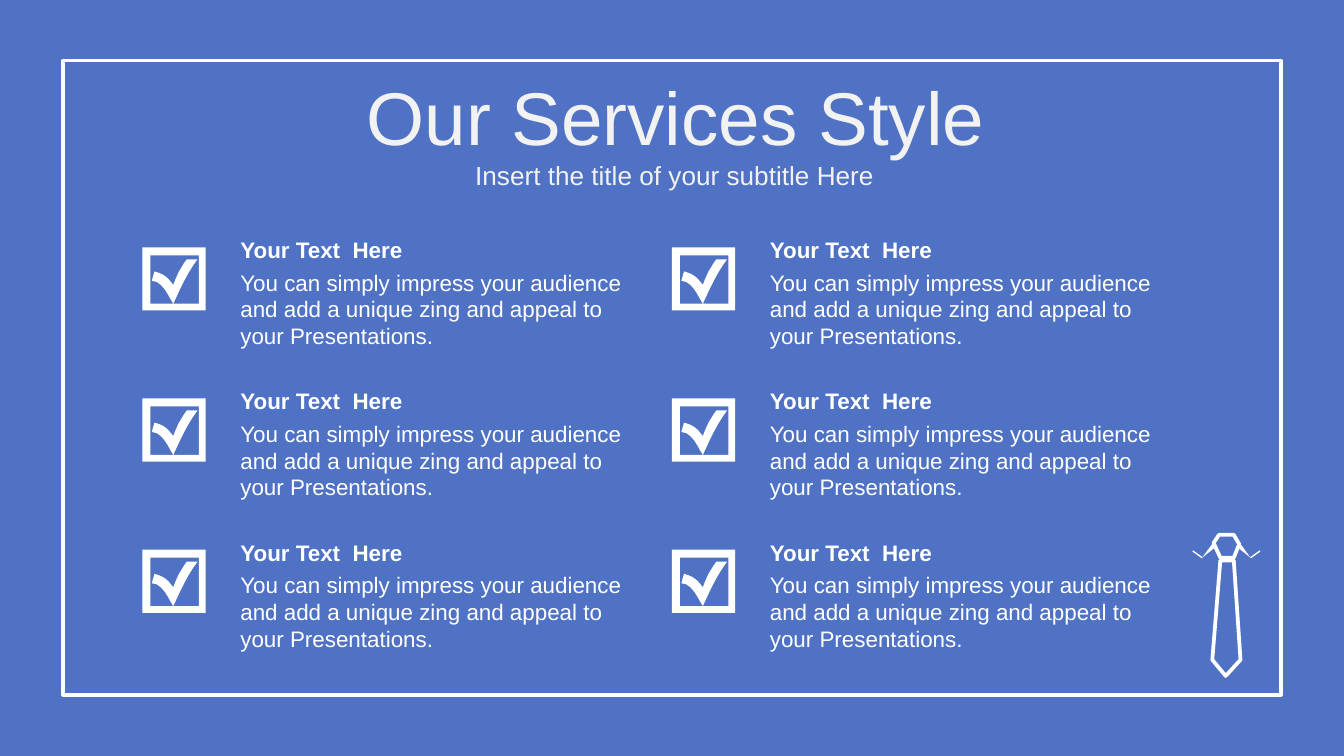
"""Build a services slide with six ticked items and a necktie ornament."""
from lxml import etree
from pptx import Presentation
from pptx.dml.color import RGBColor
from pptx.enum.shapes import MSO_CONNECTOR, MSO_SHAPE
from pptx.enum.text import MSO_ANCHOR, PP_ALIGN
from pptx.oxml.ns import qn
from pptx.util import Inches, Pt

STRAIGHT = MSO_CONNECTOR.STRAIGHT
RECTANGLE = MSO_SHAPE.RECTANGLE
TOP, MIDDLE = MSO_ANCHOR.TOP, MSO_ANCHOR.MIDDLE
LEFT, CENTER = PP_ALIGN.LEFT, PP_ALIGN.CENTER

COLORS = {"background": "5072C4", "white": "FFFFFF", "heading": "F2F2F2"}
RGB = {name: RGBColor.from_string(value) for name, value in COLORS.items()}
FONT = "Arial"
SLIDE_WIDTH = 10
SLIDE_HEIGHT = SLIDE_WIDTH * 9 / 16
UNITS_PER_INCH = 1000
COLUMN_LEFT, COLUMN_PITCH = 1.06, 3.94
ROW_TOP, ROW_PITCH = 1.84, SLIDE_HEIGHT / 5
CURVE_STEPS = 6

presentation = Presentation()
presentation.slide_width = Inches(SLIDE_WIDTH)
presentation.slide_height = Inches(SLIDE_HEIGHT)
slide = presentation.slides.add_slide(presentation.slide_layouts[5])
slide.background.fill.solid()
slide.background.fill.fore_color.rgb = RGB["background"]
shapes = slide.shapes


def write_text(shape, box, text, size, color, bold=False, align=LEFT, anchor=TOP, inset=0.05):
    shape.left, shape.top, shape.width, shape.height = [Inches(value) for value in box]
    frame = shape.text_frame
    frame.word_wrap = True
    frame.vertical_anchor = anchor
    frame.margin_left = frame.margin_right = Inches(0.1)
    frame.margin_top = frame.margin_bottom = Inches(inset)
    frame.text = text
    paragraph = frame.paragraphs[0]
    paragraph.alignment = align
    font = paragraph.runs[0].font
    font.name, font.size, font.bold = FONT, Pt(size), bold
    font.color.rgb = RGB[color]


def draw_outline(contours, left=0, top=0, filled=True):
    scaled = [[(x * UNITS_PER_INCH, y * UNITS_PER_INCH) for x, y in points] for points in contours]
    builder = shapes.build_freeform(*scaled[0][0], scale=Inches(1) / UNITS_PER_INCH)
    builder.add_line_segments(scaled[0][1:], close=True)
    for points in scaled[1:]:
        builder.move_to(*points[0])
        builder.add_line_segments(points[1:], close=True)
    shape = builder.convert_to_shape(Inches(left), Inches(top))
    shape.shadow.inherit = False
    if filled:
        shape.fill.solid()
        shape.fill.fore_color.rgb = RGB["white"]
        shape.line.fill.background()
    else:
        shape.fill.background()
        shape.line.color.rgb = RGB["white"]
        shape.line.width = Pt(2)


border = shapes.add_shape(RECTANGLE, Inches(0.47), Inches(0.45), Inches(9.06), Inches(4.72))
border.shadow.inherit = False
border.fill.background()
border.line.color.rgb = RGB["white"]
border.line.width = Pt(2)

knot = [(9.03, 4.04), (9.07, 3.98), (9.18, 3.98), (9.22, 4.05), (9.18, 4.15), (9.08, 4.15)]
blade = [(9.23, 4.91), (9.12, 5.03), (9.02, 4.91), (9.08, 4.17), (9.18, 4.17)]
for points in (knot, blade):
    draw_outline([points], filled=False)

tie_center = (9.03 + 9.22) / 2
for side in (-1, 1):
    collar = [(tie_center + side * x, y) for x, y in ((0.18, 4.15), (0.1, 4.04), (0.08, 4.07))]
    draw_outline([collar])
    collar_edge = shapes.add_connector(
        STRAIGHT, Inches(tie_center + side * 0.25), Inches(4.1),
        Inches(tie_center + side * 0.18), Inches(4.15))
    collar_edge.line.color.rgb = RGB["white"]
    collar_edge.line.width = Pt(0.75)
    etree.SubElement(collar_edge.element.spPr, qn("a:effectLst"))

tick_curves = [
    [(0.23, 0.42), (0.19, 0.36), (0.15, 0.25), (0.07, 0.25)],
    [(0.09, 0.18), (0.17, 0.2), (0.19, 0.23), (0.23, 0.28)],
    [(0.23, 0.28), (0.26, 0.2), (0.28, 0.16), (0.33, 0.09)],
    [(0.41, 0.09), (0.34, 0.18), (0.28, 0.31), (0.23, 0.42)],
]
tick_hole = [(0.06, 0.06), (0.06, 0.42)]
for curve in tick_curves:
    for step in range(CURVE_STEPS + 1):
        t = step / CURVE_STEPS
        weights = ((1 - t) ** 3, 3 * t * (1 - t) ** 2, 3 * t * t * (1 - t), t ** 3)
        tick_hole.append(tuple(
            sum(weight * point[axis] for weight, point in zip(weights, curve)) for axis in (0, 1)))
tick_hole += [(0.42, 0.42), (0.42, 0.06)]
box_edge = [(0, 0), (0.47, 0), (0.47, 0.47), (0, 0.47)]

heading = "Your Text  Here"
description = ("You can simply impress your audience and add a unique zing "
               "and appeal to your Presentations.")
for column in range(2):
    for row in range(3):
        left = COLUMN_LEFT + column * COLUMN_PITCH
        top = ROW_TOP + row * ROW_PITCH
        draw_outline([tick_hole, box_edge], left, top)
        for text, offset, height, bold in ((description, 0.11, 0.5, False), (heading, -0.13, 0.3, True)):
            write_text(shapes.add_textbox(0, 0, 0, 0), (left + 0.63, top + offset, 3.15, height),
                       text, 12, "white", bold)

write_text(shapes.title, (0.74, 0.53, 8.57, 0.66), "Our Services Style", 40, "heading",
           align=CENTER, anchor=MIDDLE, inset=0.1)
write_text(shapes.add_textbox(0, 0, 0, 0), (0.75, 1.15, 8.54, 0.31),
           "Insert the title of your subtitle Here", 14, "heading",
           align=CENTER, anchor=MIDDLE, inset=0.1)

presentation.save("out.pptx")
